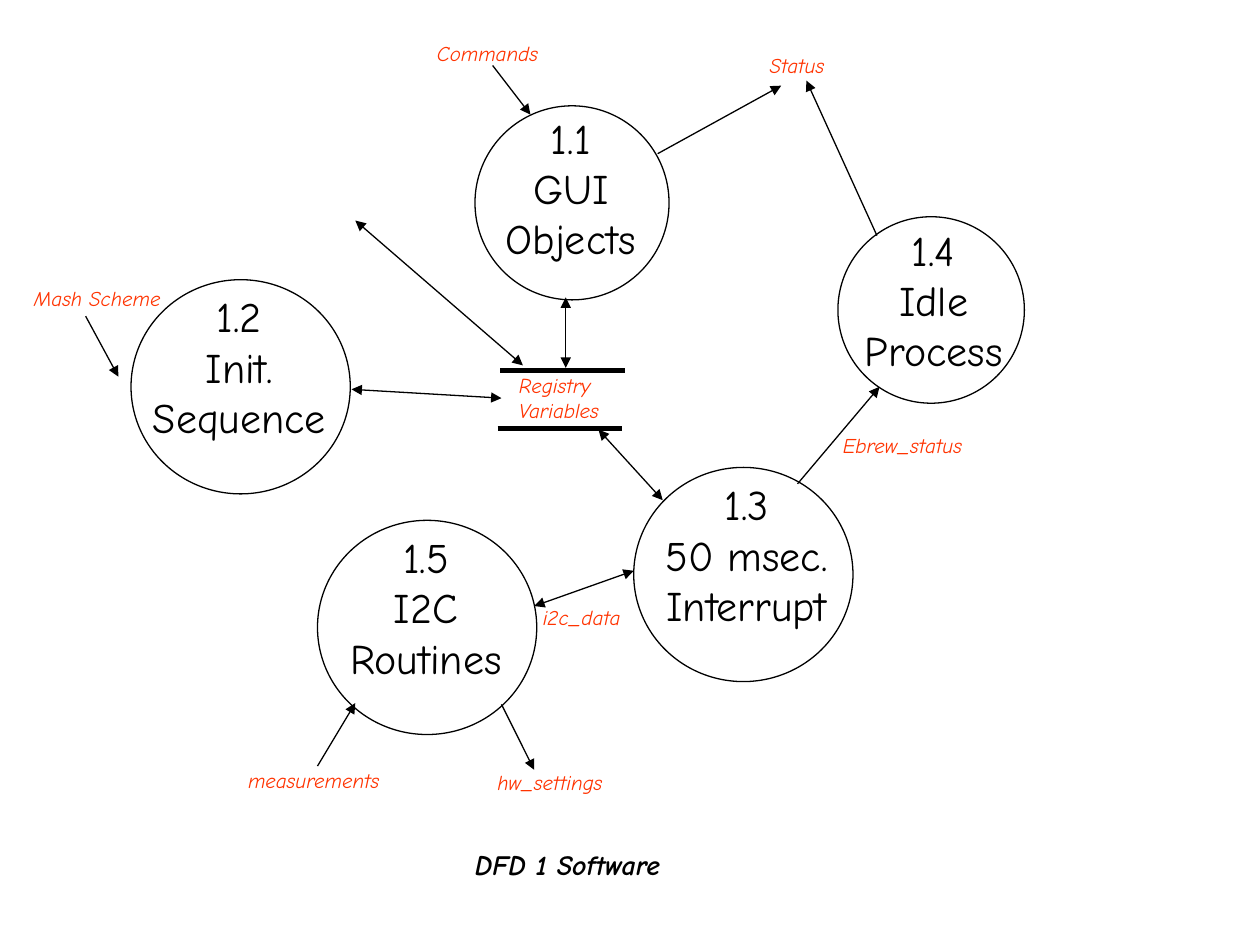
from lxml import etree
from pptx import Presentation
from pptx.dml.color import RGBColor
from pptx.enum.shapes import MSO_CONNECTOR, MSO_SHAPE
from pptx.enum.text import MSO_AUTO_SIZE, PP_ALIGN
from pptx.oxml.ns import qn
from pptx.util import Inches, Pt

STRAIGHT = MSO_CONNECTOR.STRAIGHT
OVAL = MSO_SHAPE.OVAL
CENTER, LEFT = PP_ALIGN.CENTER, PP_ALIGN.LEFT
FIT_SHAPE = MSO_AUTO_SIZE.SHAPE_TO_FIT_TEXT

FONT = "Comic Neue"
COLORS = {"ink": "000000", "flow": "FF3300"}

# circle (left, top, width, height), text box (left, top, width), lines
PROCESSES = [
    ((6.65, 1.72, 1.48, 1.48), (6.67, 1.73, 1.48), ["1.4", "Idle", "Process"]),
    ((3.77, 0.84, 1.54, 1.54), (3.79, 0.84, 1.48), ["1.1", "GUI Objects"]),
    ((1.04, 2.22, 1.74, 1.70), (1.04, 2.26, 1.72), ["1.2", "Init.", "Sequence"]),
    ((5.03, 3.71, 1.74, 1.70), (5.02, 3.75, 1.81), ["1.3", "50 msec.", "Interrupt"]),
    ((2.52, 4.13, 1.74, 1.70), (2.52, 4.17, 1.72), ["1.5", "I2C Routines"]),
]

# left, top, width, text
FLOW_LABELS = [
    (3.37, 0.27, 1.00, "Commands"),
    (6.01, 0.37, 0.64, "Status"),
    (0.17, 2.22, 1.21, "Mash Scheme"),
    (6.59, 3.38, 1.51, "Ebrew_status"),
    (4.21, 4.75, 1.06, "i2c_data"),
    (1.87, 6.04, 1.25, "measurements"),
    (3.85, 6.06, 1.10, "hw_settings"),
]

# start x, start y, end x, end y
ONE_WAY_FLOWS = [
    (6.33, 3.84, 6.98, 3.07),
    (6.96, 1.87, 6.40, 0.64),
    (0.68, 2.51, 0.94, 2.99),
    (5.22, 1.22, 6.20, 0.68),
    (3.91, 0.52, 4.21, 0.91),
    (2.52, 6.08, 2.82, 5.58),
    (3.98, 5.59, 4.24, 6.11),
]
TWO_WAY_FLOWS = [
    (2.79, 3.09, 3.98, 3.16),
    (4.49, 2.36, 4.49, 2.92),
    (4.75, 3.41, 5.26, 3.97),
    (5.03, 4.53, 4.24, 4.81),
    (2.82, 1.75, 4.15, 2.90),
]


def rgb(name):
    return RGBColor.from_string(COLORS[name])


def add_text(slide, box, lines, size, color="ink", align=LEFT,
             wrap=False, bold=False, italic=False):
    sp = slide.shapes.add_textbox(*map(Inches, box))
    tf = sp.text_frame
    tf.word_wrap = wrap
    tf.auto_size = FIT_SHAPE
    tf.text = "\n".join(lines)
    for p in tf.paragraphs:
        p.alignment = align
        for r in p.runs:
            r.font.name = FONT
            r.font.size = Pt(size)
            r.font.bold = bold
            r.font.italic = italic
            r.font.color.rgb = rgb(color)


def add_line(slide, ends, width=0.75, arrows=()):
    """Draw a line; arrows lists its headEnd and tailEnd arrowheads in order."""
    line = slide.shapes.add_connector(STRAIGHT, *map(Inches, ends))
    line.line.color.rgb = rgb("ink")
    line.line.width = Pt(width)
    ln = line.line._get_or_add_ln()
    for end in arrows:
        etree.SubElement(ln, qn(f"a:{end}"), type="triangle")
    etree.SubElement(line._element.spPr, qn("a:effectLst"))


def add_process(slide, circle, text_box, lines):
    sp = slide.shapes.add_shape(OVAL, *map(Inches, circle))
    sp.shadow.inherit = False
    sp.fill.background()
    sp.line.color.rgb = rgb("ink")
    sp.line.width = Pt(0.75)
    add_text(slide, (*text_box, 1.3), lines, 24, align=CENTER, wrap=True)


def add_flow_label(slide, box, lines, wrap=True):
    add_text(slide, box, lines, 12, color="flow", wrap=wrap, italic=True)


def add_data_store(slide):
    add_flow_label(slide, (4.02, 2.91, 0.84, 0.5), ["Registry", "Variables"],
                   wrap=False)
    for x, y in [(3.97, 2.94), (3.95, 3.4)]:
        add_line(slide, (x, y, x + 0.99, y), width=3)


def main():
    prs = Presentation()
    prs.slide_width, prs.slide_height = Inches(10), Inches(7.5)
    slide = prs.slides.add_slide(prs.slide_layouts[6])

    for process in PROCESSES:
        add_process(slide, *process)
    add_data_store(slide)
    for ends in ONE_WAY_FLOWS:
        add_line(slide, ends, arrows=["tailEnd"])
    for ends in TWO_WAY_FLOWS:
        add_line(slide, ends, arrows=["headEnd", "tailEnd"])
    for left, top, width, label in FLOW_LABELS:
        # Two labels have room to spare, so they keep their left edge by wrapping
        roomy = label in ("Ebrew_status", "i2c_data", "hw_settings")
        add_flow_label(slide, (left, top, width, 0.3), [label], wrap=roomy)
    add_text(slide, (3.67, 6.68, 1.68, 0.37), ["DFD 1 Software"], 16,
             bold=True, italic=True)

    prs.save("out.pptx")


if __name__ == "__main__":
    main()
